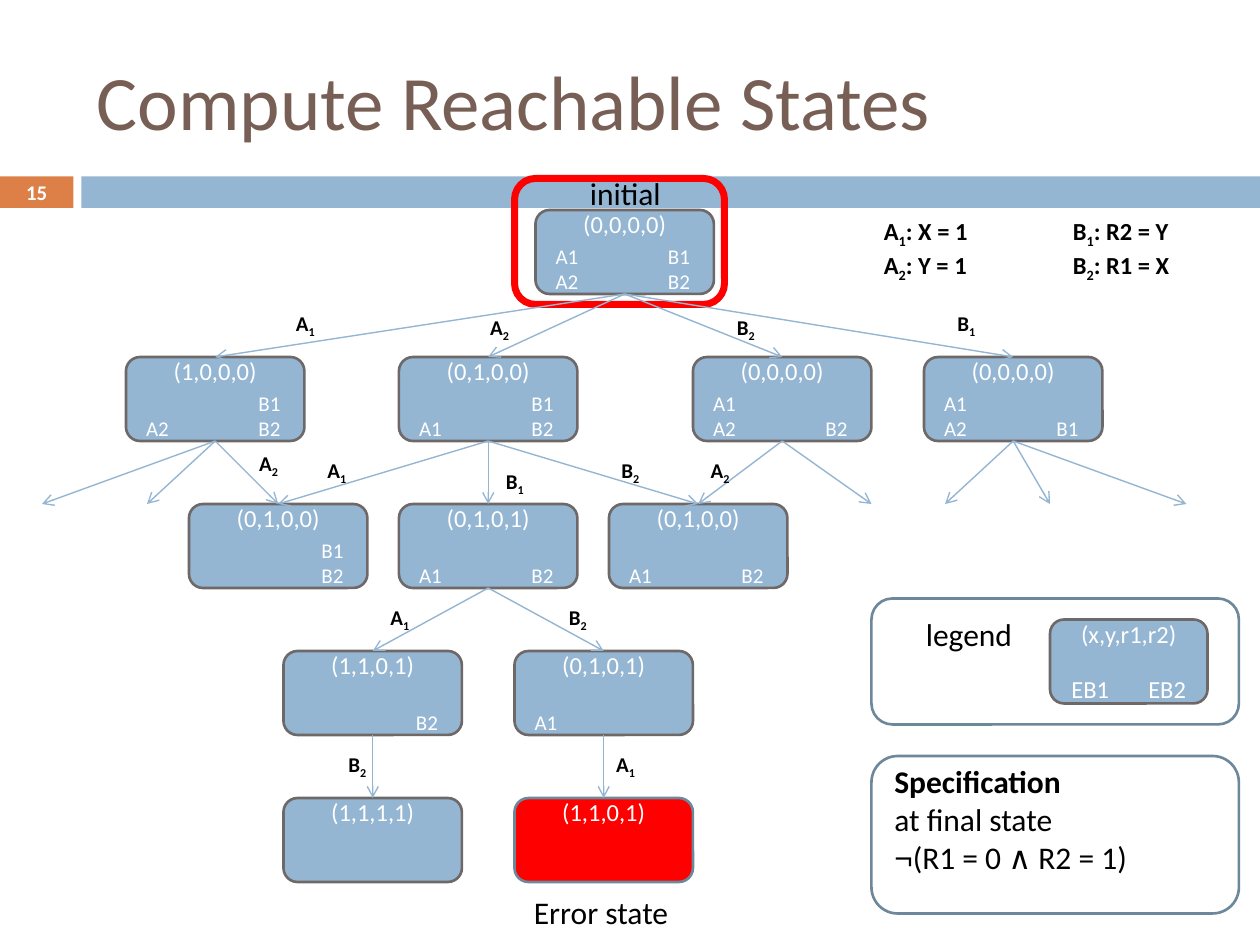
from pptx import Presentation
from pptx.dml.color import RGBColor as Rgb
from pptx.enum.shapes import MSO_CONNECTOR as Link, MSO_SHAPE as Form
from pptx.enum.text import MSO_ANCHOR as Anchor, PP_ALIGN as Align
from pptx.oxml.ns import qn
from pptx.util import Pt
from lxml.etree import SubElement

THEME = {
    "font": "Calibri", "symbol_font": "Arial",
    "brown": Rgb(0x77, 0x5F, 0x55), "orange": Rgb(0xDD, 0x80, 0x47),
    "blue": Rgb(0x94, 0xB6, 0xD2), "steel": Rgb(0x6D, 0x87, 0x9B),
    "gray": Rgb(0x6F, 0x68, 0x68), "red": Rgb(0xFF, 0, 0),
    "white": Rgb(0xFF, 0xFF, 0xFF), "black": Rgb(0, 0, 0),
    "title": 44, "body": 18, "state": 14, "action": 12, "number": 11.9,
}


def write(frame, lines, size, color="black", align=Align.LEFT, anchor=Anchor.TOP,
          bold=False, wrap=True, margins=None):
    layout = {"word_wrap": wrap, "vertical_anchor": anchor}
    if margins:
        sides = ("margin_left", "margin_top", "margin_right", "margin_bottom")
        layout.update(zip(sides, map(Pt, margins)))
    for name, value in layout.items():
        setattr(frame, name, value)
    for index, line in enumerate(lines):
        paragraph = frame.paragraphs[0] if index == 0 else frame.add_paragraph()
        paragraph.alignment = align
        for text, changes in line:
            run = paragraph.add_run()
            run.text = text
            run.font.color.rgb = THEME[color]
            look = {"name": THEME["font"], "size": Pt(THEME[size]), "bold": bold}
            look.update(changes)
            baseline = look.pop("baseline", None)
            for name, value in look.items():
                setattr(run.font, name, value)
            if baseline:
                run._r.get_or_add_rPr().set("baseline", baseline)


def step(name, rest=""):
    runs = [(name[0], {}), (name[1], {"baseline": "-25000"})]
    return runs + [(rest, {})] if rest else runs


deck = Presentation()
deck.slide_width, deck.slide_height = Pt(720), Pt(540)
slide = deck.slides.add_slide(deck.slide_layouts[5])
shapes = slide.shapes

heading = shapes.title
for name, value in {"left": 48, "top": 18, "width": 642, "height": 78}.items():
    setattr(heading, name, Pt(value))
write(heading.text_frame, [[("Compute Reachable States", {})]], "title", "brown",
      anchor=Anchor.MIDDLE)

STATE_WIDTH, STATE_HEIGHT, LEVEL_TOP, LEVEL_STEP = 102, 48, 120, 84
states = {
    "root": (306, 0, "(0,0,0,0)", ["A1", "A2"], ["B1", "B2"]),
    "a1": (72, 1, "(1,0,0,0)", ["A2"], ["B1", "B2"]),
    "a2": (228, 1, "(0,1,0,0)", ["A1"], ["B1", "B2"]),
    "b2": (396, 1, "(0,0,0,0)", ["A1", "A2"], ["B2"]),
    "b1": (528, 1, "(0,0,0,0)", ["A1", "A2"], ["B1"]),
    "a2 a1": (108, 2, "(0,1,0,0)", [], ["B1", "B2"]),
    "a2 b1": (228, 2, "(0,1,0,1)", ["A1"], ["B2"]),
    "a2 b2": (348, 2, "(0,1,0,0)", ["A1"], ["B2"]),
    "a2 b1 a1": (162, 3, "(1,1,0,1)", [], ["B2"]),
    "a2 b1 b2": (294, 3, "(0,1,0,1)", ["A1"], []),
    "final": (162, 4, "(1,1,1,1)", [], []),
    "error": (294, 4, "(1,1,0,1)", [], []),
}
panels = [
    ("number", Form.RECTANGLE, (0, 100.8, 42, 18), "orange", None, 0),
    ("band", Form.RECTANGLE, (46.5, 100.8, 673.5, 18), "blue", None, 0),
    ("legend", Form.ROUNDED_RECTANGLE, (498, 342, 210, 72), None, "steel", 1.5),
    ("specification", Form.ROUNDED_RECTANGLE, (498, 432, 210, 90), None, "steel", 1.5),
    ("sample", Form.ROUNDED_RECTANGLE, (600, 354, 90, 48), "blue", "gray", 1.5),
]
for key, (left, level, *_) in states.items():
    fill, line = ("red", "steel") if key == "error" else ("blue", "gray")
    box = (left, LEVEL_TOP + level * LEVEL_STEP, STATE_WIDTH, STATE_HEIGHT)
    panels.append((key, Form.ROUNDED_RECTANGLE, box, fill, line, 1.5))
panels.append(("initial", Form.ROUNDED_RECTANGLE, (294, 102, 120, 72), None, "red", 4))

parts = {}
for key, form, box, fill, line, width in panels:
    part = parts[key] = shapes.add_shape(form, *map(Pt, box))
    part.shadow.inherit = False
    if fill:
        part.fill.solid()
        part.fill.fore_color.rgb = THEME[fill]
    else:
        part.fill.background()
    if line:
        part.line.color.rgb = THEME[line]
        part.line.width = Pt(width)
    else:
        part.line.fill.background()

write(parts["number"].text_frame, [[("15", {})]], "number", "white", Align.CENTER,
      Anchor.MIDDLE, bold=True, margins=(0, 0, 0, 0))

values = {key: state[2] for key, state in states.items()}
values["sample"] = "(x,y,r1,r2)"
for key, value in values.items():
    write(parts[key].text_frame, [[(value, {})]], "state", "white", Align.CENTER,
          Anchor.MIDDLE, margins=(0, 0, 0, 32))

pending = [(600 + 5, 354, ["EB1"], "state"), (600 + 49, 354, ["EB2"], "state")]
for left, level, value, left_steps, right_steps in states.values():
    top = LEVEL_TOP + level * LEVEL_STEP
    pending.append((left, top, left_steps, "action"))
    pending.append((left + 64, top, right_steps, "action"))
for left, top, names, size in pending:
    if names:
        actions = shapes.add_textbox(Pt(left), Pt(top + 18), Pt(36), Pt(30))
        write(actions.text_frame, [[(name, {})] for name in names], size, "white",
              Align.CENTER, Anchor.BOTTOM, margins=(0, 0, 0, 0))

transitions = [
    ("root", "a1", "A1", 162, 174), ("root", "a2", "A2", 273, 176),
    ("root", "b2", "B2", 414, 176), ("root", "b1", "B1", 540, 174),
    ("a1", "a2 a1", "A2", 141, 254), ("a2", "a2 a1", "A1", 180, 258),
    ("a2", "a2 b1", "B1", 282, 264), ("a2", "a2 b2", "B2", 348, 258),
    ("b2", "a2 b2", "A2", 399, 258), ("a2 b1", "a2 b1 a1", "A1", 216, 342),
    ("a2 b1", "a2 b1 b2", "B2", 318, 342), ("a2 b1 a1", "final", "B2", 192, 426),
    ("a2 b1 b2", "error", "A1", 345, 426),
]
unexplored = [("a1", 24), ("a1", 84), ("b2", 498), ("b1", 540), ("b1", 600), ("b1", 678)]
routes = [(source, target, 0) for source, target, *_ in transitions]
routes += [(source, None, end) for source, end in unexplored]
for source, target, end in routes:
    arrow = shapes.add_connector(Link.STRAIGHT, 0, 0, Pt(end), Pt(288))
    arrow.begin_connect(parts[source], 2)
    if target:
        arrow.end_connect(parts[target], 0)
    arrow.line.color.rgb = THEME["blue"]
    arrow.line.width = Pt(0.79)
    SubElement(arrow.line._get_or_add_ln(), qn("a:tailEnd"), type="arrow")
    SubElement(arrow._element.spPr, qn("a:effectLst"))

for source, target, name, left, top in transitions:
    label = shapes.add_textbox(Pt(left), Pt(top), Pt(27), Pt(21.6))
    write(label.text_frame, [step(name)], "action", bold=True, wrap=False)

captions = [("initial", 330, 96, 56), ("Error state", 298, 507, 94), ("legend", 522, 348, 65)]
for text, left, top, width in captions:
    caption = shapes.add_textbox(Pt(left), Pt(top), Pt(width), Pt(29))
    write(caption.text_frame, [[(text, {})]], "body", wrap=False)

programs = [
    (498, [step("A1", ": X = 1"), step("A2", ": Y = 1")]),
    (606, [step("B1", ": R2 = Y"), step("B2", ": R1 = X")]),
]
for left, lines in programs:
    program = shapes.add_textbox(Pt(left), Pt(120), Pt(108), Pt(41))
    write(program.text_frame, lines, "state", bold=True)

requirement = shapes.add_textbox(Pt(504), Pt(432), Pt(186), Pt(94))
write(requirement.text_frame, [
    [("Specification", {"bold": True})],
    [("at final state", {})],
    [("¬", {"name": THEME["symbol_font"]}), ("(R1 = 0 ∧ R2 = 1)", {})],
], "body")

deck.save("out.pptx")
